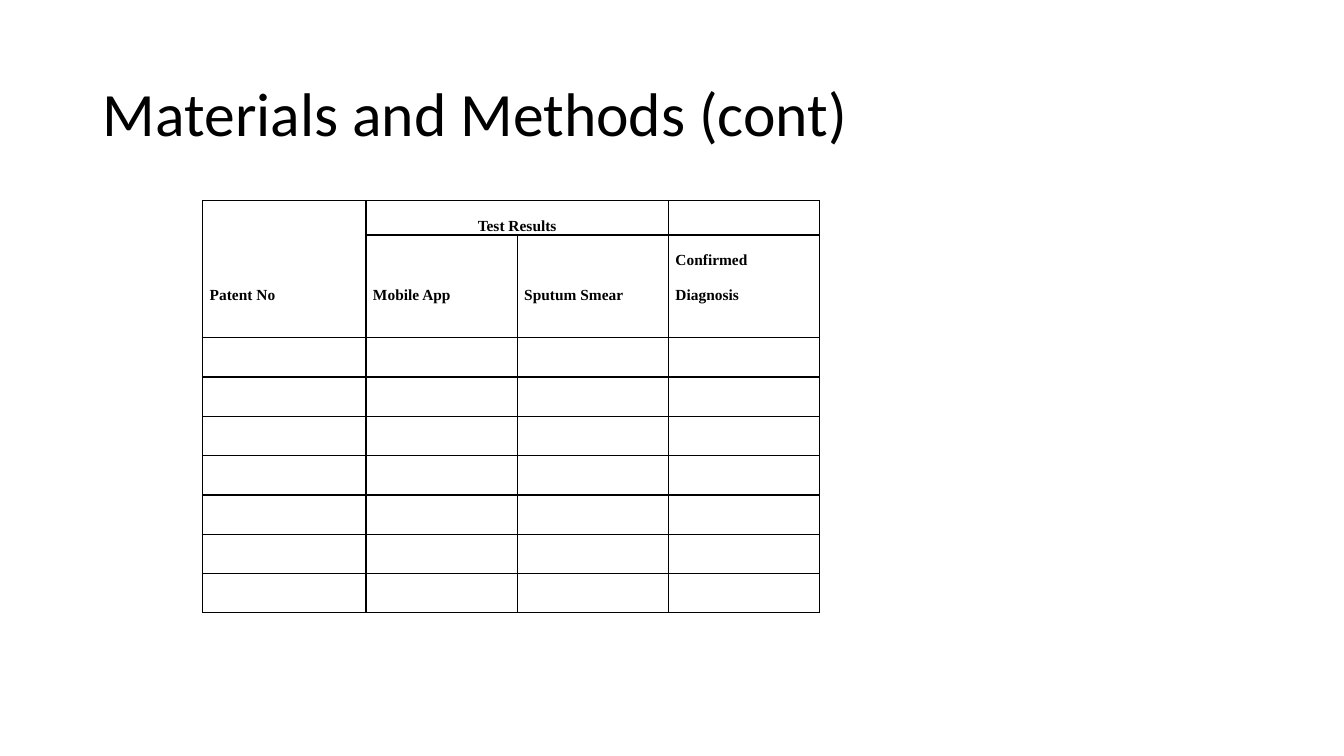
from lxml import etree
from pptx import Presentation
from pptx import util as u
from pptx.dml.color import RGBColor
from pptx.enum import text
from pptx.oxml import ns

COLORS = {"ink": "000000"}
COL_WIDTHS = [1.62, 1.5, 1.5, 1.5]
ROW_HEIGHTS = [0.34, 1.02] + [0.39] * 7
LINE_HEIGHT = 0.34


def format_paragraph(p, font, size, spacing, align, bold=False):
    """Format a paragraph and its runs."""
    p.line_spacing, p.alignment = spacing, align
    for r in p.runs:
        r.font.name, r.font.size, r.font.bold = font, u.Pt(size), bold
        r.font.color.rgb = RGBColor.from_string(COLORS["ink"])


def add_borders(cell, width=1):
    """Draw a solid line on all four sides of a cell."""
    tc_pr = cell._tc.get_or_add_tcPr()
    for i, side in enumerate(("lnL", "lnR", "lnT", "lnB")):
        ln = etree.Element(ns.qn(f"a:{side}"), w=str(u.Pt(width)))
        fill = etree.SubElement(ln, ns.qn("a:solidFill"))
        etree.SubElement(fill, ns.qn("a:srgbClr"), val=COLORS["ink"])
        tc_pr.insert(i, ln)


def add_heading(cell, words, align=text.PP_ALIGN.LEFT, bottom=LINE_HEIGHT):
    """Write a column heading that sits at the bottom of its cell."""
    cell.text_frame.text = words
    cell.vertical_anchor = text.MSO_ANCHOR.BOTTOM
    cell.margin_bottom = u.Inches(bottom)
    format_paragraph(cell.text_frame.paragraphs[0], "Times New Roman", 11, 2, align, True)


def add_title(s, words, left, top, width, height):
    """Place and format the slide title."""
    sp = s.shapes.title
    sp.left, sp.top, sp.width, sp.height = map(u.Inches, (left, top, width, height))
    tf = sp.text_frame
    tf.text = words
    tf.vertical_anchor = text.MSO_ANCHOR.MIDDLE
    format_paragraph(tf.paragraphs[0], "Calibri", 44, 0.9, text.PP_ALIGN.LEFT)


def add_results_table(s, left, top):
    """Build the blank test results form."""
    box = map(u.Inches, (left, top, sum(COL_WIDTHS), sum(ROW_HEIGHTS)))
    table = s.shapes.add_table(len(ROW_HEIGHTS), len(COL_WIDTHS), *box).table
    table.first_row = table.horz_banding = False
    for col, width in zip(table.columns, COL_WIDTHS):
        col.width = u.Inches(width)
    for row, height in zip(table.rows, ROW_HEIGHTS):
        row.height = u.Inches(height)
    for cell in table.iter_cells():
        cell.margin_left = cell.margin_right = u.Inches(0.07)
        cell.margin_top = cell.margin_bottom = 0
        cell.fill.background()
        add_borders(cell)
    table.cell(0, 0).merge(table.cell(1, 0))
    table.cell(0, 1).merge(table.cell(0, 2))
    add_heading(table.cell(0, 0), "Patent No")
    add_heading(table.cell(0, 1), "Test Results", text.PP_ALIGN.CENTER, 0)
    for c, words in enumerate(("Mobile App", "Sputum Smear", "Confirmed Diagnosis"), 1):
        add_heading(table.cell(1, c), words)


def main():
    """Build and save the slide."""
    prs = Presentation()
    prs.slide_width, prs.slide_height = u.Inches(13.33), u.Inches(7.5)
    s = prs.slides.add_slide(prs.slide_layouts[5])
    add_title(s, "Materials and Methods (cont)", 0.92, 0.43, 11.5, 1.45)
    add_results_table(s, 2.01, 1.99)
    prs.save("out.pptx")


main()
